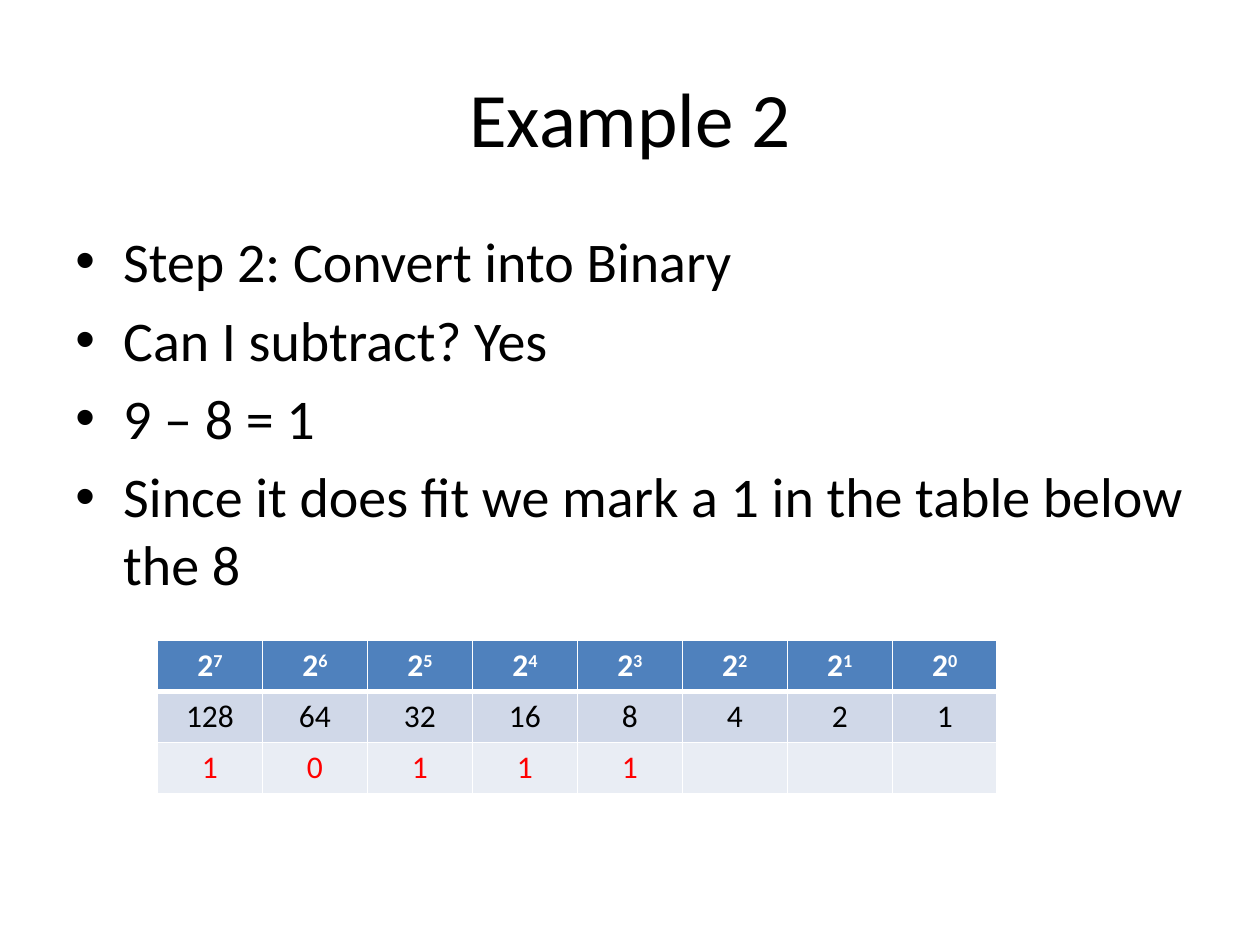
import pptx
import pptx.dml.color
import pptx.enum.text
import pptx.oxml
import pptx.oxml.ns
import pptx.util

BLACK = pptx.dml.color.RGBColor(0x00, 0x00, 0x00)
WHITE = pptx.dml.color.RGBColor(0xFF, 0xFF, 0xFF)
RED = pptx.dml.color.RGBColor(0xFF, 0x00, 0x00)
HEADER_BLUE = pptx.dml.color.RGBColor(0x4F, 0x81, 0xBD)
BAND_DARK = pptx.dml.color.RGBColor(0xD0, 0xD8, 0xE8)
BAND_LIGHT = pptx.dml.color.RGBColor(0xE9, 0xED, 0xF4)

WIDTH, HEIGHT = pptx.util.Inches(10), pptx.util.Inches(7.5)
TITLE_BOX = (0.05, 0.04, 0.9, 1 / 6)
BODY_BOX = (0.05, 0.7 / 3, 0.9, 0.66)
TABLE_BOX = (0.125, 0.6775, 2 / 3, 0.1625)

STEPS = [
    "Step 2: Convert into Binary",
    "Can I subtract? Yes",
    "9 – 8 = 1",
    "Since it does fit we mark a 1 in the table below the 8",
]
BITS = "10111"
POWERS = range(7, -1, -1)
CENTER = pptx.enum.text.PP_ALIGN.CENTER


def place(box):
    """Turn shares of the slide into left, top, width and height."""
    return [round(share * size) for share, size in zip(box, (WIDTH, HEIGHT) * 2)]


def add_run(paragraph, text, size, color, bold=False, baseline=0):
    """Add one formatted run to a paragraph."""
    run = paragraph.add_run()
    run.text = text
    formats = {"name": "Calibri", "size": pptx.util.Pt(size), "bold": bold}
    for name, value in formats.items():
        setattr(run.font, name, value)
    run.font.color.rgb = color
    if baseline:
        run.font._element.set("baseline", str(baseline * 1000))


def add_text_frame(slide, box, anchor):
    """Add a wrapping text box and return its frame."""
    frame = slide.shapes.add_textbox(*place(box)).text_frame
    for name, value in {"word_wrap": True, "vertical_anchor": anchor}.items():
        setattr(frame, name, value)
    return frame


def add_title(slide, box, text):
    """Add the centred title."""
    frame = add_text_frame(slide, box, pptx.enum.text.MSO_ANCHOR.MIDDLE)
    paragraph = frame.paragraphs[0]
    paragraph.alignment = CENTER
    add_run(paragraph, text, 44, BLACK)


def add_bullets(slide, box, lines):
    """Add the bulleted steps with hanging indents."""
    frame = add_text_frame(slide, box, pptx.enum.text.MSO_ANCHOR.TOP)
    indent = pptx.util.Inches(0.38)
    for index, line in enumerate(lines):
        paragraph = frame.add_paragraph() if index else frame.paragraphs[0]
        properties = paragraph._p.get_or_add_pPr()
        properties.set("marL", str(indent))
        properties.set("indent", str(-indent))
        for tag, name, value in (("buFont", "typeface", "Arial"), ("buChar", "char", "•")):
            bullet = pptx.oxml.parse_xml(f'<a:{tag} {pptx.oxml.ns.nsdecls("a")} {name}="{value}"/>')
            properties.append(bullet)
        if index:
            paragraph.space_before = pptx.util.Pt(6.4)
        add_run(paragraph, line, 32, BLACK)


def format_cell(cell, fill, top, bottom):
    """Give a cell white borders, a solid fill and centred text."""
    properties = cell._tc.get_or_add_tcPr()
    for side, points in {"L": 1, "R": 1, "T": top, "B": bottom}.items():
        properties.append(pptx.oxml.parse_xml(
            f'<a:ln{side} {pptx.oxml.ns.nsdecls("a")} w="{pptx.util.Pt(points)}">'
            f'<a:solidFill><a:srgbClr val="{WHITE}"/></a:solidFill></a:ln{side}>'
        ))
    cell.fill.solid()
    cell.fill.fore_color.rgb = fill
    cell.margin_left = cell.margin_right = pptx.util.Inches(0.07)
    cell.text_frame.paragraphs[0].alignment = CENTER


def add_binary_table(slide, box, bits):
    """Add the powers of two, their values and the bits found so far."""
    table = slide.shapes.add_table(3, len(POWERS), *place(box)).table
    row_formats = [(HEADER_BLUE, 1, 3), (BAND_DARK, 3, 1), (BAND_LIGHT, 1, 1)]
    for row, row_format in enumerate(row_formats):
        for column in range(len(POWERS)):
            format_cell(table.cell(row, column), *row_format)
    for column, power in enumerate(POWERS):
        header, value = (table.cell(row, column).text_frame.paragraphs[0] for row in (0, 1))
        add_run(header, "2", 18, WHITE, bold=True)
        add_run(header, str(power), 18, WHITE, bold=True, baseline=30)
        add_run(value, str(2 ** power), 18, BLACK)
    for column, bit in enumerate(bits):
        add_run(table.cell(2, column).text_frame.paragraphs[0], bit, 18, RED)


def main():
    """Build and save the presentation."""
    presentation = pptx.Presentation()
    presentation.slide_width, presentation.slide_height = WIDTH, HEIGHT
    slide = presentation.slides.add_slide(presentation.slide_layouts[6])
    add_title(slide, TITLE_BOX, "Example 2")
    add_bullets(slide, BODY_BOX, STEPS)
    add_binary_table(slide, TABLE_BOX, BITS)
    presentation.save("out.pptx")


if __name__ == "__main__":
    main()
